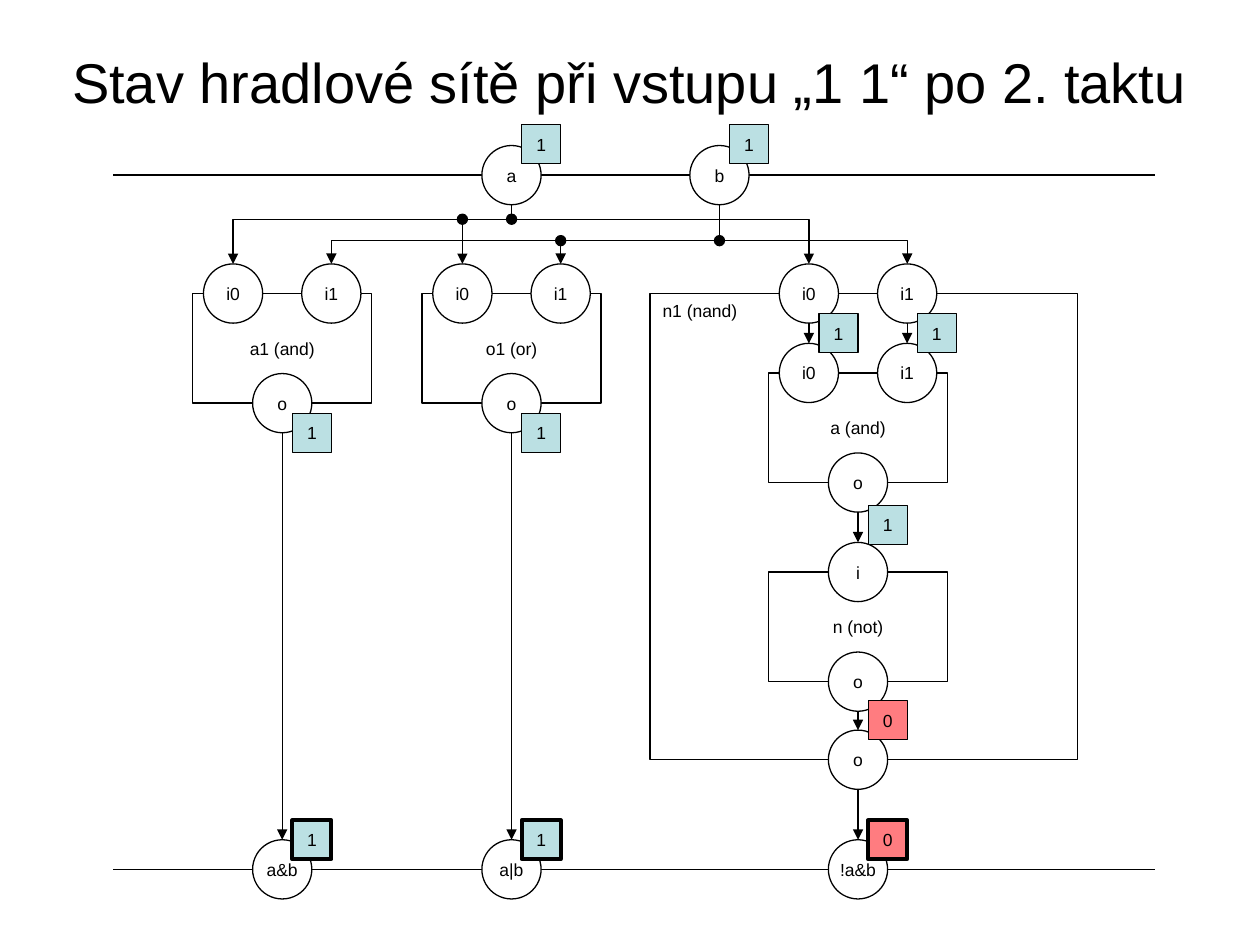
"""Build a slide with the state of a gate network after its second step."""
from dataclasses import dataclass

from pptx import Presentation
from pptx.dml.color import RGBColor
from pptx.enum.shapes import MSO_CONNECTOR, MSO_SHAPE
from pptx.enum.text import MSO_ANCHOR, PP_ALIGN
from pptx.oxml.ns import qn
from pptx.oxml.xmlchemy import OxmlElement
from pptx.util import Inches, Pt

RECTANGLE, OVAL = MSO_SHAPE.RECTANGLE, MSO_SHAPE.OVAL
STRAIGHT, ELBOW = MSO_CONNECTOR.STRAIGHT, MSO_CONNECTOR.ELBOW
CENTER, LEFT = PP_ALIGN.CENTER, PP_ALIGN.LEFT
MIDDLE, TOP = MSO_ANCHOR.MIDDLE, MSO_ANCHOR.TOP


@dataclass(frozen=True)
class Theme:
    font: str = "Arial"
    ink: RGBColor = RGBColor(0, 0, 0)
    paper: RGBColor = RGBColor(255, 255, 255)
    high: RGBColor = RGBColor(0xBB, 0xE0, 0xE3)
    low: RGBColor = RGBColor(0xFF, 0x7C, 0x80)
    title_size: float = 32
    label_size: float = 10
    thin: float = 0.75
    thick: float = 2.25


THEME = Theme()
PIN, BADGE, DOT = 0.47, 0.31, 0.08
RADIUS = PIN / 2
GATE_WIDTH, GATE_HEIGHT = 1.42, 0.87
INPUT_OFFSET = 0.39
AND_X, OR_X, NAND_X = 2.24, 4.06, 6.81
A_X, B_X = OR_X, 5.71
SOURCE_Y, A_WIRE_Y, B_WIRE_Y, INPUT_Y, RESULT_Y = 1.39, 1.74, 1.91, 2.33, 6.9
INNER_Y, NOT_Y, NAND_OUT_Y = 2.96, 4.54, 6.03
GATE_OUT_Y, INNER_OUT_Y, NOT_OUT_Y = (y + GATE_HEIGHT for y in (INPUT_Y, INNER_Y, NOT_Y))


def write(frame, text, size=THEME.label_size, align=CENTER, anchor=MIDDLE, wrap=False):
    frame.word_wrap = wrap
    frame.vertical_anchor = anchor
    paragraph = frame.paragraphs[0]
    paragraph.text = text
    paragraph.alignment = align
    paragraph.font.name = THEME.font
    paragraph.font.size = Pt(size)
    paragraph.font.color.rgb = THEME.ink


def add_block(slide, kind, left, top, width, height, text="",
              fill=THEME.paper, line=THEME.thin, **text_format):
    block = slide.shapes.add_shape(
        kind, Inches(left), Inches(top), Inches(width), Inches(height))
    block.shadow.inherit = False
    block.fill.solid()
    block.fill.fore_color.rgb = fill
    block.line.color.rgb = THEME.ink
    block.line.width = Pt(line)
    if text:
        write(block.text_frame, text, **text_format)


def add_gate(slide, x, top, name):
    add_block(slide, RECTANGLE, x - GATE_WIDTH / 2, top, GATE_WIDTH, GATE_HEIGHT, name)


def add_pin(slide, x, y, name):
    add_block(slide, OVAL, x - RADIUS, y - RADIUS, PIN, PIN, name)


def add_junction(slide, x, y):
    add_block(slide, OVAL, x - DOT / 2, y - DOT / 2, DOT, DOT, fill=THEME.ink)


def add_badge(slide, x, y, value, line=THEME.thin):
    fill = THEME.high if value == "1" else THEME.low
    add_block(slide, RECTANGLE, x + 0.08, y, BADGE, BADGE, value, fill=fill, line=line)


def add_line(slide, start, end, kind=STRAIGHT, arrow=True):
    line = slide.shapes.add_connector(kind, *map(Inches, (*start, *end)))
    line.line.color.rgb = THEME.ink
    line.line.width = Pt(THEME.thin)
    if arrow:
        tail = OxmlElement("a:tailEnd")
        tail.set("type", "triangle")
        line.line._get_or_add_ln().append(tail)
    properties = line._element.spPr
    properties.append(OxmlElement("a:effectLst"))
    return properties


def add_arrow(slide, x, from_y, to_y):
    add_line(slide, (x, from_y + RADIUS), (x, to_y - RADIUS))


def add_wire(slide, source_x, input_x, bend_y):
    """Draw a down-across-down wire as a rotated elbow connector."""
    start_y, end_y = SOURCE_Y + RADIUS, INPUT_Y - RADIUS
    drop = end_y - start_y
    middle_x, middle_y = (source_x + input_x) / 2, (start_y + end_y) / 2
    half_run = abs(input_x - source_x) / 2
    to_left = input_x < source_x
    half_drop = drop / 2 if to_left else -drop / 2
    properties = add_line(slide, (middle_x - half_drop, middle_y - half_run),
                          (middle_x + half_drop, middle_y + half_run), ELBOW)
    properties.find(qn("a:xfrm")).set("rot", str((90 if to_left else 270) * 60000))
    bend = OxmlElement("a:gd")
    bend.set("name", "adj1")
    bend.set("fmla", f"val {round((bend_y - start_y) / drop * 100000)}")
    properties.find(qn("a:prstGeom")).find(qn("a:avLst")).append(bend)


def add_title(slide, text):
    title = slide.shapes.add_textbox(Inches(0), Inches(0.3), Inches(10), Inches(0.69))
    write(title.text_frame, text, size=THEME.title_size, wrap=True)


def add_gates(slide):
    add_block(slide, RECTANGLE, 5.16, INPUT_Y, 3.39, NAND_OUT_Y - INPUT_Y, "n1 (nand)",
              align=LEFT, anchor=TOP)
    for x, top, name in ((AND_X, INPUT_Y, "a1 (and)"), (OR_X, INPUT_Y, "o1 (or)"),
                         (NAND_X, NOT_Y, "n (not)"), (NAND_X, INNER_Y, "a (and)")):
        add_gate(slide, x, top, name)
    for x, y in ((AND_X, INPUT_Y), (OR_X, INPUT_Y), (NAND_X, INPUT_Y), (NAND_X, INNER_Y)):
        add_pin(slide, x - INPUT_OFFSET, y, "i0")
        add_pin(slide, x + INPUT_OFFSET, y, "i1")
    for x, y in ((AND_X, GATE_OUT_Y), (OR_X, GATE_OUT_Y), (NAND_X, INNER_OUT_Y),
                 (NAND_X, NOT_OUT_Y), (NAND_X, NAND_OUT_Y)):
        add_pin(slide, x, y, "o")
    add_pin(slide, NAND_X, NOT_Y, "i")


def add_terminals(slide):
    rows = ((SOURCE_Y, ((A_X, "a"), (B_X, "b"))),
            (RESULT_Y, ((AND_X, "a&b"), (OR_X, "a|b"), (NAND_X, "!a&b"))))
    for y, terminals in rows:
        add_line(slide, (0.9, y), (9.17, y), arrow=False)
        for x, name in terminals:
            add_pin(slide, x, y, name)


def add_wiring(slide):
    for source_x, offset, bend_y in ((A_X, -INPUT_OFFSET, A_WIRE_Y),
                                     (B_X, INPUT_OFFSET, B_WIRE_Y)):
        for gate_x in (AND_X, OR_X, NAND_X):
            add_wire(slide, source_x, gate_x + offset, bend_y)
        add_junction(slide, source_x, bend_y)
        add_junction(slide, OR_X + offset, bend_y)
    for x, from_y, to_y in ((AND_X, GATE_OUT_Y, RESULT_Y), (OR_X, GATE_OUT_Y, RESULT_Y),
                            (NAND_X - INPUT_OFFSET, INPUT_Y, INNER_Y),
                            (NAND_X + INPUT_OFFSET, INPUT_Y, INNER_Y),
                            (NAND_X, INNER_OUT_Y, NOT_Y),
                            (NAND_X, NOT_OUT_Y, NAND_OUT_Y),
                            (NAND_X, NAND_OUT_Y, RESULT_Y)):
        add_arrow(slide, x, from_y, to_y)


def add_values(slide):
    for x, y, value in ((AND_X, 3.28, "1"), (OR_X, 3.28, "1"),
                        (NAND_X - INPUT_OFFSET, 2.49, "1"),
                        (NAND_X + INPUT_OFFSET, 2.49, "1"),
                        (NAND_X, 4.01, "1"), (NAND_X, 5.56, "0"),
                        (A_X, 0.99, "1"), (B_X, 0.99, "1")):
        add_badge(slide, x, y, value)
    for x, value in ((AND_X, "1"), (OR_X, "1"), (NAND_X, "0")):
        add_badge(slide, x, 6.51, value, line=THEME.thick)


def main():
    deck = Presentation()
    deck.slide_width, deck.slide_height = Inches(10), Inches(7.5)
    slide = deck.slides.add_slide(deck.slide_layouts[6])
    add_gates(slide)
    add_title(slide, "Stav hradlové sítě při vstupu „1 1“ po 2. taktu")
    add_terminals(slide)
    add_wiring(slide)
    add_values(slide)
    deck.save("out.pptx")


if __name__ == "__main__":
    main()
